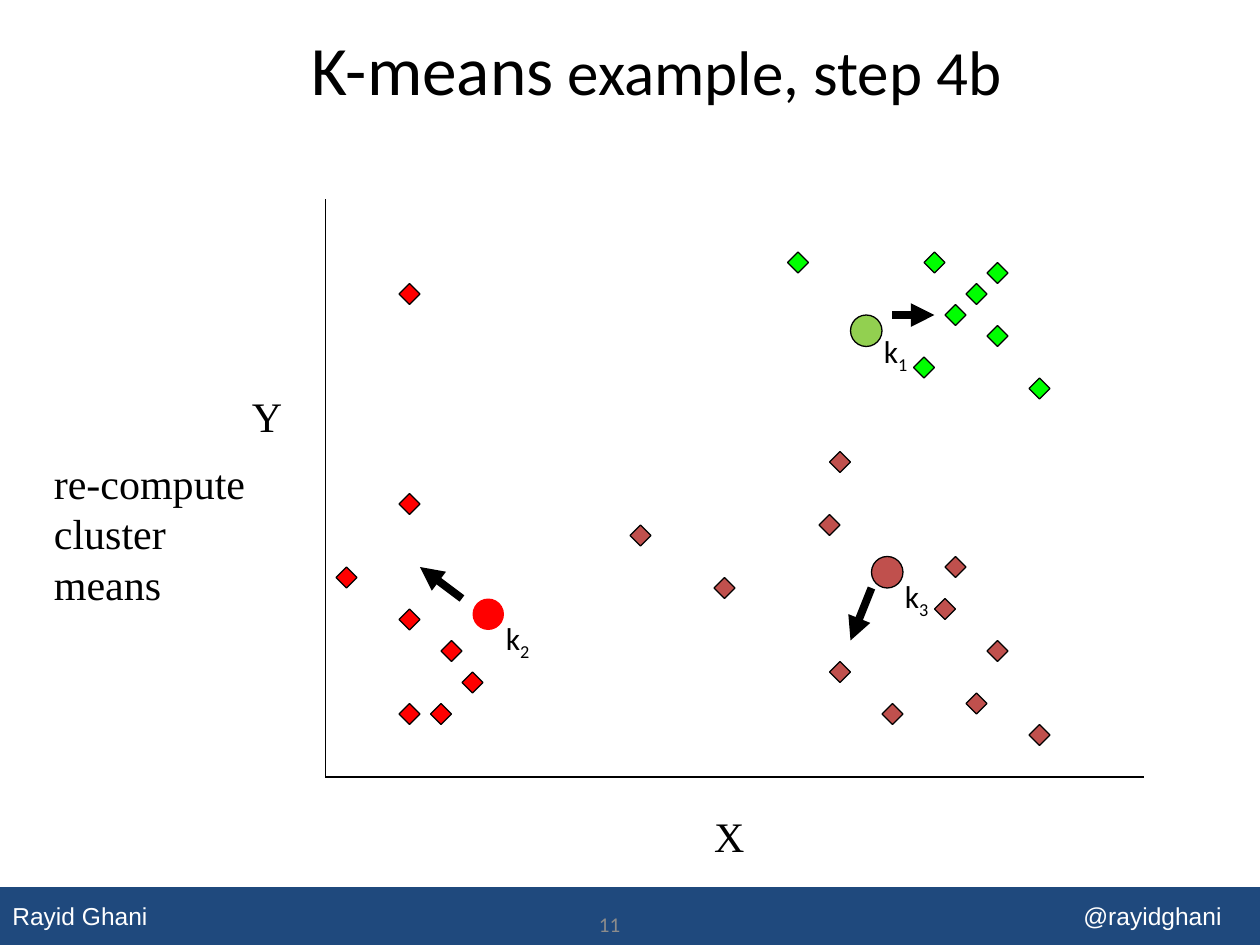
from lxml import etree
from pptx import Presentation
from pptx.dml.color import RGBColor
from pptx.enum.shapes import MSO_CONNECTOR, MSO_SHAPE
from pptx.enum.text import MSO_ANCHOR, PP_ALIGN
from pptx.oxml.ns import qn
from pptx.util import Inches, Pt

DIAMOND, CIRCLE, RECTANGLE = MSO_SHAPE.DIAMOND, MSO_SHAPE.OVAL, MSO_SHAPE.RECTANGLE
STRAIGHT = MSO_CONNECTOR.STRAIGHT
TOP, MIDDLE = MSO_ANCHOR.TOP, MSO_ANCHOR.MIDDLE
LEFT, CENTER, RIGHT = PP_ALIGN.LEFT, PP_ALIGN.CENTER, PP_ALIGN.RIGHT

BLACK, WHITE, GRAY, NAVY = "000000", "FFFFFF", "8C8C8C", "1F497D"
RED, GREEN, BRICK, LIME = "FF0000", "00FF00", "C0504D", "92D050"
SANS, SERIF, FOOTER_FONT = "Calibri", "Times New Roman", "Arial"

POINTS = {
    RED: [(42, 61), (44, 64), (41, 67), (38, 58), (38, 27), (38, 47), (38, 67), (32, 54)],
    GREEN: [(88, 24), (94, 25), (92, 27), (90, 29), (94, 31), (98, 36), (75, 24), (87, 34)],
    BRICK: [(60, 50), (79, 43), (79, 63), (84, 67), (89, 57), (78, 49), (68, 55),
            (94, 61), (92, 66), (90, 53), (98, 69)],
}
MOVES = [((44, 57), (40, 54)), ((83, 56), (81, 61)), ((85, 30), (89, 30))]
AXES = [((31, 19), (31, 74)), ((31, 74), (109, 74))]
MEANS = [("1", 81, 30, LIME, BLACK, TOP), ("3", 83, 53, BRICK, BLACK, MIDDLE),
         ("2", 45, 57, RED, None, MIDDLE)]


def color(value):
    return RGBColor.from_string(value)


def grid(units):
    return units / 12


class SlideBuilder:
    def __init__(self, slide):
        self.slide = slide
        self.thin = Pt(0.75)
        self.thick = Pt(4.5)

    def shape(self, kind, left, top, width, height, fill, line=None):
        shape = self.slide.shapes.add_shape(
            kind, Inches(left), Inches(top), Inches(width), Inches(height))
        shape.shadow.inherit = False
        shape.fill.solid()
        shape.fill.fore_color.rgb = color(fill)
        if line:
            shape.line.color.rgb = color(line)
            shape.line.width = self.thin
        else:
            shape.line.fill.background()
        return shape

    def line(self, start, end, arrow=False):
        x1, y1, x2, y2 = (Inches(grid(units)) for units in (*start, *end))
        connector = self.slide.shapes.add_connector(STRAIGHT, x1, y1, x2, y2)
        connector.line.color.rgb = color(BLACK)
        connector.line.width = self.thick if arrow else self.thin
        properties = connector._element.spPr
        if arrow:
            etree.SubElement(properties.get_or_add_ln(), qn("a:tailEnd"), type="triangle")
        etree.SubElement(properties, qn("a:effectLst"))

    def add_runs(self, shape, runs, font, fill=BLACK, align=LEFT, anchor=TOP, wrap=True):
        frame = shape.text_frame
        frame.word_wrap = wrap
        frame.vertical_anchor = anchor
        paragraph = frame.paragraphs[0]
        paragraph.alignment = align
        for text, size in runs:
            run = paragraph.add_run()
            run.text = text
            run.font.name = font
            run.font.size = Pt(size)
            run.font.color.rgb = color(fill)
        return paragraph

    def text(self, left, top, width, height, runs, font, **style):
        box = self.slide.shapes.add_textbox(
            Inches(left), Inches(top), Inches(width), Inches(height))
        return self.add_runs(box, runs, font, **style)

    def footer(self, name, handle):
        bar = self.shape(RECTANGLE, 0, 7.04, 10, 0.46, NAVY)
        paragraph = self.add_runs(
            bar, [(f"{name}\t{handle}", 14)], FOOTER_FONT, WHITE, anchor=MIDDLE)
        tabs = etree.SubElement(paragraph._p.get_or_add_pPr(), qn("a:tabLst"))
        etree.SubElement(tabs, qn("a:tab"), pos=str(Inches(8.5)), algn="l")

    def data_point(self, x, y, fill):
        self.shape(DIAMOND, grid(x), grid(y), grid(2), grid(2), fill, BLACK)

    def cluster_mean(self, index, x, y, fill, line, anchor):
        self.shape(CIRCLE, grid(x), grid(y), grid(3), grid(3), fill, line)
        label = self.text(grid(x + 2), grid(y + 1), grid(7), grid(6),
                          [("k", 18), (index, 18)], SANS, anchor=anchor)
        label.runs[1].font._element.set("baseline", "-25000")


def main():
    presentation = Presentation()
    presentation.slide_width = Inches(10)
    presentation.slide_height = Inches(7.5)
    builder = SlideBuilder(presentation.slides.add_slide(presentation.slide_layouts[6]))

    builder.footer("Rayid Ghani", "@rayidghani")
    builder.text(4, 7.17, 1.02, 0.33, [("11", 12)], SANS, fill=GRAY, align=RIGHT, anchor=MIDDLE)
    builder.text(0.75, 0.25, 8.92, 0.58, [("K-means", 39.6), (" example, step 4b", 36)],
                 SANS, align=CENTER, anchor=MIDDLE)

    for fill, places in POINTS.items():
        for x, y in places:
            builder.data_point(x, y, fill)
    for start, end in MOVES:
        builder.line(start, end, arrow=True)
    for start, end in AXES:
        builder.line(start, end)

    builder.text(5.57, 6.38, 0.44, 0.5, [("X", 24)], SERIF, wrap=False)
    builder.text(1.9, 3.05, 0.44, 0.5, [("Y", 24)], SERIF, wrap=False)
    builder.text(0.33, 3.58, 2, 1.3, [("re-compute cluster means", 24)], SERIF)
    for mean in MEANS:
        builder.cluster_mean(*mean)

    presentation.save("out.pptx")


if __name__ == "__main__":
    main()
